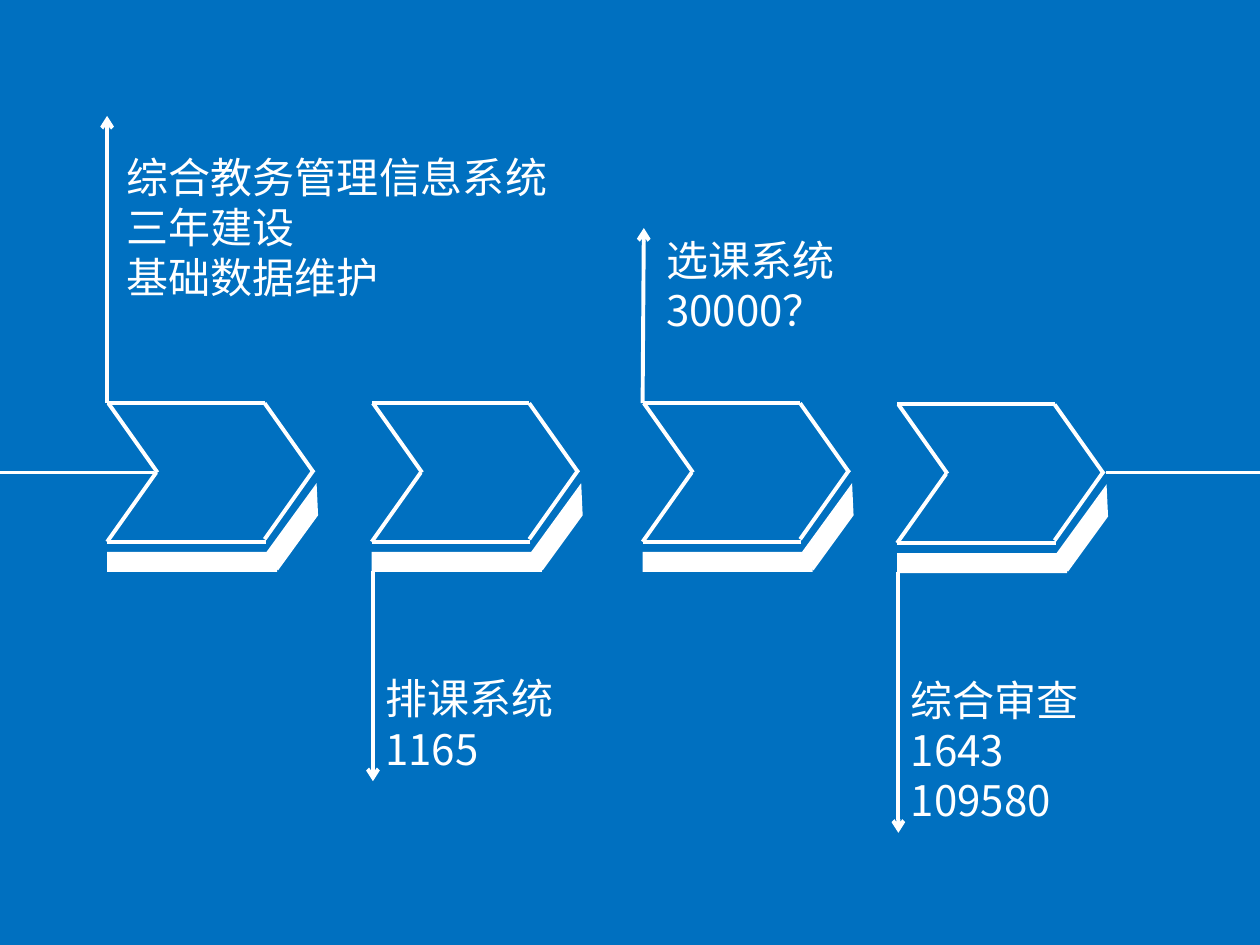
import pptx
import pptx.dml.color
import pptx.enum.shapes
import pptx.enum.text
import pptx.oxml
import pptx.oxml.ns
import pptx.util
from pptx.util import Inches

COLORS = {"background": "0070C0", "ink": "FFFFFF"}
FONT = "Noto Sans CJK SC"

# Chevron edges, from and to, relative to its top left corner
CHEVRON_EDGES = [
    ((0.40, 0.55), (0.01, 0)),
    ((1.25, 0), (0, 0)),
    ((1.64, 0.55), (1.25, 0)),
    ((0.39, 0.55), (0, 1.10)),
    ((1.26, 1.10), (0, 1.10)),
    ((1.64, 0.53), (1.25, 1.08)),
]

# Chevron corner, then arrow from and to, then text box and its lines
STEPS = [
    ((0.85, 3.20), (0.85, 3.20), (0.85, 0.92), (0.91, 1.15, 3.57, 1.31),
     ["综合教务管理信息系统", "三年建设", "基础数据维护"]),
    ((2.95, 3.20), (2.96, 4.53), (2.96, 6.20), (2.96, 5.29, 1.55, 0.91),
     ["排课系统", "1165"]),
    ((5.10, 3.20), (5.10, 3.20), (5.11, 1.81), (5.19, 1.81, 1.55, 0.91),
     ["选课系统", "30000？"]),
    ((7.12, 3.21), (7.13, 4.54), (7.13, 6.61), (7.13, 5.30, 1.59, 1.31),
     ["综合审查", "1643", "109580"]),
]


def rgb(name):
    return pptx.dml.color.RGBColor.from_string(COLORS[name])


def add_line(slide, start, end, arrow=False):
    line = slide.shapes.add_connector(
        pptx.enum.shapes.MSO_CONNECTOR.STRAIGHT,
        *(Inches(v) for v in (*start, *end)))
    line.line.color.rgb = rgb("ink")
    line.line.width = pptx.util.Pt(2.25)
    properties = line._element.spPr
    if arrow:
        tail = pptx.oxml.parse_xml(
            f'<a:tailEnd {pptx.oxml.ns.nsdecls("a")} type="arrow"/>')
        properties.find(pptx.oxml.ns.qn("a:ln")).append(tail)
    properties.append(pptx.oxml.parse_xml(
        f'<a:effectLst {pptx.oxml.ns.nsdecls("a")}/>'))


def add_text(slide, box, lines, size=24, color="ink", font=FONT):
    frame = slide.shapes.add_textbox(*(Inches(v) for v in box)).text_frame
    frame.word_wrap = False
    frame.auto_size = pptx.enum.text.MSO_AUTO_SIZE.SHAPE_TO_FIT_TEXT
    for index, line in enumerate(lines):
        paragraph = frame.paragraphs[0] if index == 0 else frame.add_paragraph()
        run = paragraph.add_run()
        run.text = line
        run.font.size = pptx.util.Pt(size)
        run.font.name = font
        run.font.color.rgb = rgb(color)
        east_asian = pptx.oxml.parse_xml(
            f'<a:ea {pptx.oxml.ns.nsdecls("a")} typeface="{font}"/>')
        run.font._element.append(east_asian)


def fill_solid(shape):
    shape.shadow.inherit = False
    shape.fill.solid()
    shape.fill.fore_color.rgb = rgb("ink")
    shape.line.fill.background()


def add_chevron(slide, left, top):
    """Draw an outlined chevron with a solid slab under its lower edges."""
    for start, end in CHEVRON_EDGES:
        add_line(slide, (left + start[0], top + start[1]),
                 (left + end[0], top + end[1]))

    fill_solid(slide.shapes.add_shape(
        pptx.enum.shapes.MSO_SHAPE.RECTANGLE,
        Inches(left), Inches(top + 1.18), Inches(1.35), Inches(0.16)))

    # Trapezoid laid flat, then turned along the slanted edge
    x, y = left + 1.14, top + 0.90
    corners = [(x + 0.74, y), (x + 0.54, y + 0.16), (x, y + 0.16)]
    builder = slide.shapes.build_freeform(Inches(x), Inches(y))
    builder.add_line_segments([(Inches(cx), Inches(cy)) for cx, cy in corners])
    slanted_side = builder.convert_to_shape()
    slanted_side.rotation = 306
    fill_solid(slanted_side)


def add_step(slide, corner, arrow_start, arrow_end, text_box, lines):
    add_chevron(slide, *corner)
    add_line(slide, arrow_start, arrow_end, arrow=True)
    add_text(slide, text_box, lines)


def main():
    presentation = pptx.Presentation()
    presentation.slide_width = Inches(10)
    presentation.slide_height = Inches(7.5)
    slide = presentation.slides.add_slide(presentation.slide_layouts[6])
    slide.background.fill.solid()
    slide.background.fill.fore_color.rgb = rgb("background")

    add_line(slide, (0, 3.75), (1.22, 3.75))
    for step in STEPS:
        add_step(slide, *step)
    add_line(slide, (8.78, 3.75), (10, 3.75))
    presentation.save("out.pptx")


if __name__ == "__main__":
    main()
